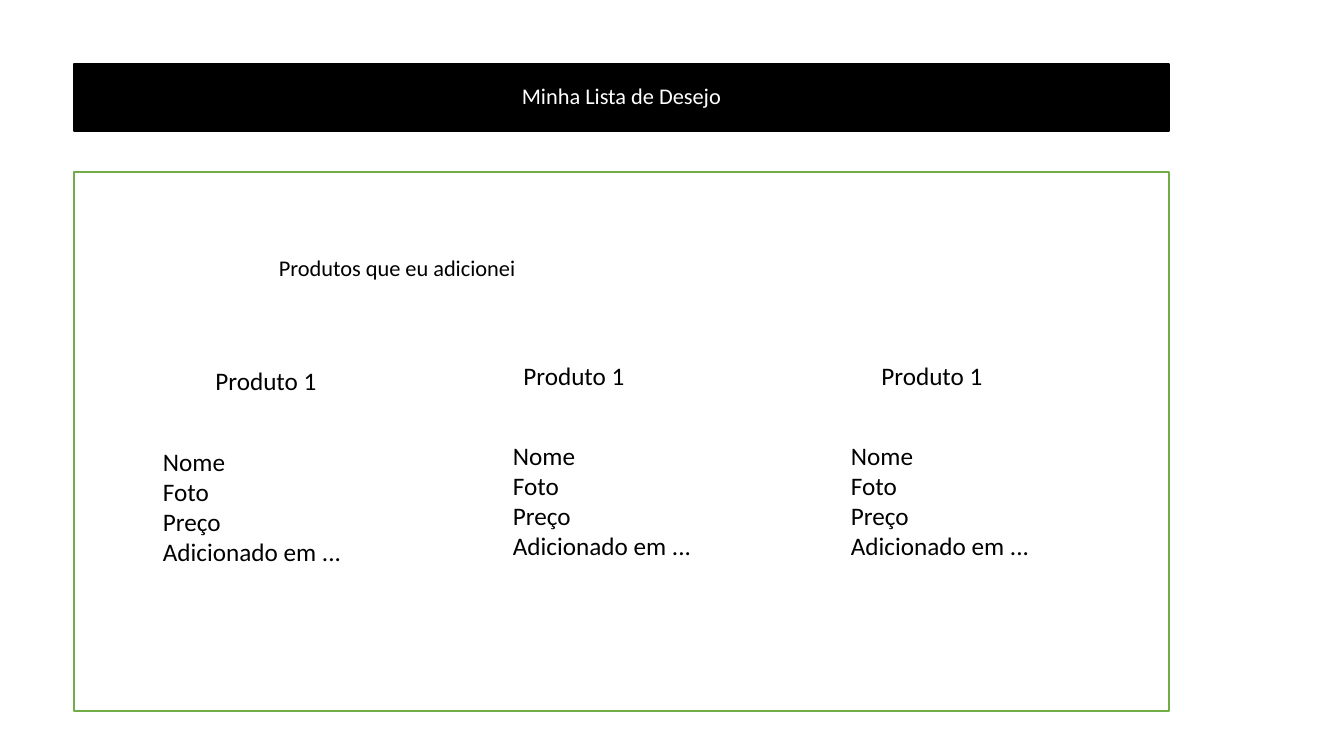
"""Build the wish list wireframe slide."""
import pptx
import pptx.util
from pptx.dml.color import RGBColor
from pptx.enum.shapes import MSO_SHAPE
from pptx.enum.text import MSO_ANCHOR, MSO_AUTO_SIZE, PP_ALIGN

PX = 914400 / 100.8
BLACK = RGBColor(0x00, 0x00, 0x00)
WHITE = RGBColor(0xFF, 0xFF, 0xFF)
GREEN = RGBColor(0x70, 0xAD, 0x47)


def add_box(x, y, w, h, fill, line):
    sp = s.shapes.add_shape(MSO_SHAPE.RECTANGLE, *[round(v * PX) for v in (x, y, w, h)])
    sp.shadow.inherit = False
    sp.fill.solid()
    sp.fill.fore_color.rgb = fill
    sp.line.color.rgb = line
    sp.line.width = pptx.util.Pt(1)
    return sp


def write(sp, lines, size, color, align, anchor, spacing=1.0):
    tf = sp.text_frame
    tf.word_wrap = True
    tf.vertical_anchor = anchor
    for i, text in enumerate(lines):
        p = tf.add_paragraph() if i else tf.paragraphs[0]
        p.alignment = align
        p.line_spacing = spacing
        r = p.add_run()
        r.text = text
        r.font.name = "Calibri"
        r.font.size = pptx.util.Pt(size)
        r.font.color.rgb = color


prs = pptx.Presentation()
prs.slide_width = round(1344 * PX)
prs.slide_height = round(756 * PX)
s = prs.slides.add_slide(prs.slide_layouts[6])

header = add_box(74, 64, 1095, 67, BLACK, BLACK)
write(header, ["Minha Lista de Desejo"], 16, WHITE, PP_ALIGN.CENTER, MSO_ANCHOR.MIDDLE, 0.9)

add_box(74, 172, 1095, 539, WHITE, GREEN)
subtitle = add_box(269, 236, 849, 67, WHITE, WHITE)
write(subtitle, ["Produtos que eu adicionei"], 16, BLACK, PP_ALIGN.LEFT, MSO_ANCHOR.MIDDLE, 0.9)
add_box(107, 342, 1022, 351, WHITE, WHITE)

DETAILS = ["Nome", "Foto", "Preço", "Adicionado em ..."]
PRODUCTS = [(105, 360, 153, 441), (413, 355, 503, 435), (771, 355, 841, 435)]
for card_x, card_y, text_x, text_y in PRODUCTS:
    card = add_box(card_x, card_y, 322, 333, WHITE, WHITE)
    write(card, ["Produto 1"], 18, BLACK, PP_ALIGN.CENTER, MSO_ANCHOR.TOP)
    details = s.shapes.add_textbox(*[round(v * PX) for v in (text_x, text_y, 229, 163)])
    write(details, DETAILS, 18, BLACK, PP_ALIGN.LEFT, MSO_ANCHOR.TOP)
    details.text_frame.auto_size = MSO_AUTO_SIZE.SHAPE_TO_FIT_TEXT

prs.save("out.pptx")
